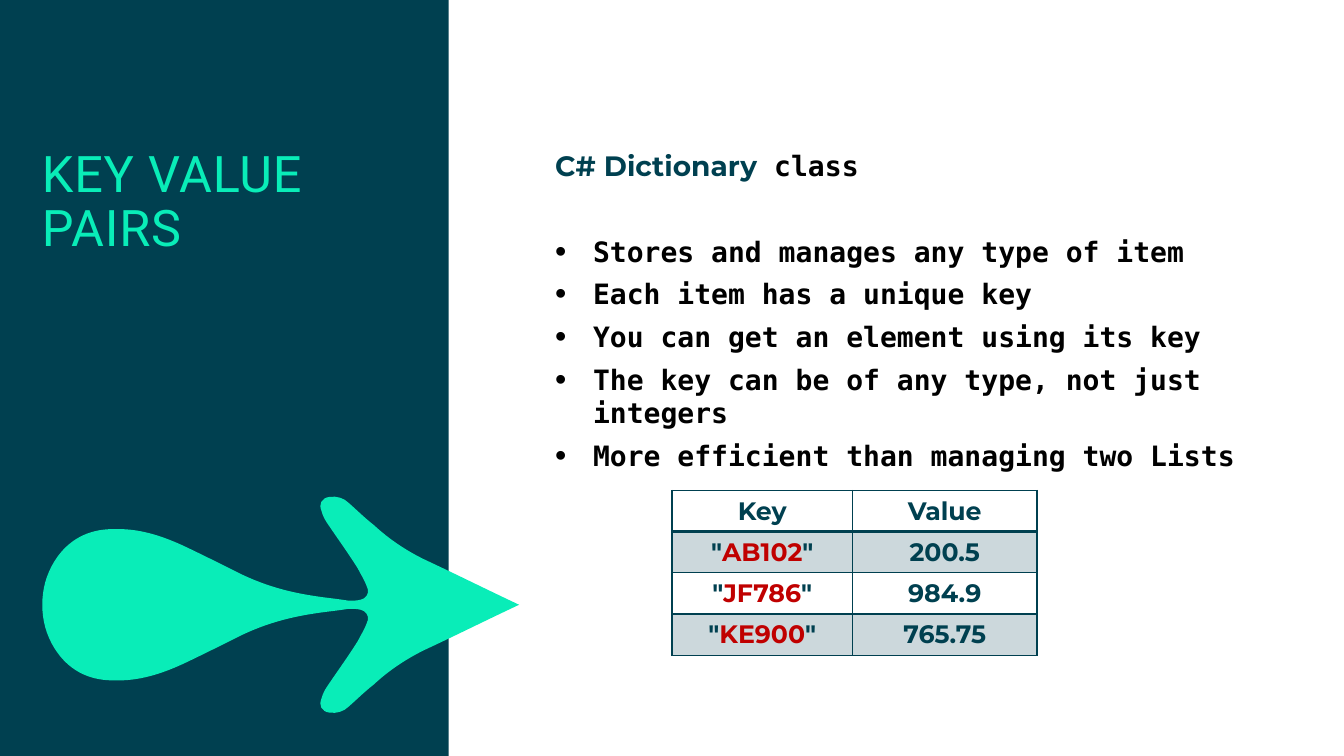
import lxml.etree
import pptx
import pptx.dml.color
import pptx.enum.shapes
import pptx.enum.text
import pptx.oxml.ns
import pptx.util

COLORS = {"panel": "004050", "accent": "09EDB8", "code": "000000", "key": "C00000"}
MONO, SANS, TITLE = "DejaVu Sans Mono", "Montserrat", "Roboto"
BULLETS = [
    "Stores and manages any type of item",
    "Each item has a unique key",
    "You can get an element using its key",
    "The key can be of any type, not just integers",
    "More efficient than managing two Lists",
]
ENTRIES = [("AB102", "200.5"), ("JF786", "984.9"), ("KE900", "765.75")]

presentation = pptx.Presentation()
presentation.slide_width = pptx.util.Inches(13.333)
presentation.slide_height = pptx.util.Inches(7.5)
slide = presentation.slides.add_slide(presentation.slide_layouts[6])
shapes = slide.shapes
# The slide is a grid of 32 columns by 18 rows of square units.
unit = presentation.slide_height / 18


def style_font(font, name, size, color, bold=False):
    font.name, font.size, font.bold = name, pptx.util.Pt(size), bold
    font.color.rgb = pptx.dml.color.RGBColor.from_string(COLORS[color])


def add_text_frame(*box):
    """Add a wrapping text box without margins; box is in grid units."""
    frame = shapes.add_textbox(*(round(length * unit) for length in box)).text_frame
    frame.word_wrap = True
    frame.margin_left = frame.margin_top = frame.margin_right = frame.margin_bottom = 0
    return frame


# Side panel
panel = shapes.add_shape(
    pptx.enum.shapes.MSO_SHAPE.RECTANGLE, 0, 0,
    round(10.68 * unit), presentation.slide_height)

# Fish arrow: upper curves as (x, height above the axis) in inches, mirrored below
nose, axis = (0.42, 0), 6
upper_curves = [
    [(0.42, 0.16), (0.46, 0.3), (0.54, 0.43)],
    [(0.67, 0.64), (0.87, 0.75), (1.12, 0.75)],
    [(1.37, 0.76), (1.59, 0.69), (1.81, 0.59)],
    [(2, 0.5), (2.18, 0.41), (2.36, 0.32)],
    [(2.6, 0.2), (2.84, 0.13), (3.1, 0.09)],
    [(3.22, 0.07), (3.34, 0.06), (3.46, 0.04)],
    [(3.5, 0.04), (3.54, 0.04), (3.58, 0.05)],
    [(3.63, 0.06), (3.66, 0.11), (3.65, 0.15)],
    [(3.65, 0.16), (3.65, 0.17), (3.64, 0.18)],
    [(3.62, 0.24), (3.58, 0.3), (3.55, 0.36)],
    [(3.45, 0.52), (3.34, 0.67), (3.24, 0.82)],
    [(3.22, 0.85), (3.2, 0.89), (3.19, 0.93)],
    [(3.16, 1), (3.19, 1.06), (3.27, 1.07)],
    [(3.34, 1.08), (3.41, 1.06), (3.46, 1.01)],
    [(3.54, 0.94), (3.62, 0.86), (3.71, 0.79)],
    [(3.86, 0.65), (4.04, 0.53), (4.23, 0.44)],
    [(4.53, 0.3), (4.83, 0.15), (5.15, 0)],
]
upper = [nose] + [point for curve in upper_curves for point in curve]
outline = [(x, axis - y) for x, y in upper] + [(x, axis + y) for x, y in upper[-2::-1]]
points = [(pptx.util.Inches(x), pptx.util.Inches(y)) for x, y in outline]
builder = shapes.build_freeform(*points[0])
builder.add_line_segments(points[3::3], close=True)
arrow = builder.convert_to_shape()
# Turn each straight segment into a curve by giving it its two control points.
segments = list(arrow._element.iter(pptx.oxml.ns.qn("a:lnTo")))
for index, segment in enumerate(segments):
    curve = lxml.etree.Element(pptx.oxml.ns.qn("a:cubicBezTo"))
    for x, y in points[3 * index + 1:3 * index + 4]:
        lxml.etree.SubElement(curve, pptx.oxml.ns.qn("a:pt"),
                              x=str(x - arrow.left), y=str(y - arrow.top))
    segment.getparent().replace(segment, curve)

for shape, color in ((panel, "panel"), (arrow, "accent")):
    shape.shadow.inherit = False
    shape.fill.solid()
    shape.fill.fore_color.rgb = pptx.dml.color.RGBColor.from_string(COLORS[color])
    shape.line.fill.background()

# Heading and bullets
body = add_text_frame(13.22, 3.54, 17.76, 13.44)
heading = body.paragraphs[0]
heading.space_after = pptx.util.Pt(37)
for text, name, color in (("C# Dictionary", SANS, "panel"), (" class", MONO, "code")):
    run = heading.add_run()
    run.text = text
    style_font(run.font, name, 20, color, True)
for text in BULLETS:
    paragraph = body.add_paragraph()
    paragraph.text = text
    paragraph.space_after = pptx.util.Pt(6.5)
    style_font(paragraph.font, MONO, 20, "code", True)
    properties = paragraph.font._element.getparent()
    indent = round(0.9 * unit)
    properties.set("marL", str(indent))
    properties.set("indent", str(-indent))
    bullet_parts = (("buSzPct", "val", "115000"), ("buFont", "typeface", "Arial"),
                    ("buChar", "char", "•"))
    for tag, attribute, value in bullet_parts:
        bullet = lxml.etree.Element(pptx.oxml.ns.qn(f"a:{tag}"), {attribute: value})
        properties.find(pptx.oxml.ns.qn("a:defRPr")).addprevious(bullet)

# Title
title = add_text_frame(1, 3.54, 9.05, 7.22).paragraphs[0]
title.line_spacing = 0.9
title_run = title.add_run()
title_run.text = "KEY VALUE PAIRS"
style_font(title.font, TITLE, 36, "accent")
title_run.font._element.set("spc", "60")

# Key and value table
column_widths, row_height = (4.3, 4.39), 0.98
rows = [("Key", "Value"), *ENTRIES]
table = shapes.add_table(
    len(rows), 2, round(16 * unit), round(11.68 * unit),
    round(sum(column_widths) * unit), round(len(rows) * row_height * unit)).table
for column, width in zip(table.columns, column_widths):
    column.width = round(width * unit)
for row_index, values in enumerate(rows):
    table.rows[row_index].height = round(row_height * unit)
    for column_index, value in enumerate(values):
        cell = table.cell(row_index, column_index)
        cell.vertical_anchor = pptx.enum.text.MSO_ANCHOR.MIDDLE
        paragraph = cell.text_frame.paragraphs[0]
        paragraph.alignment = pptx.enum.text.PP_ALIGN.CENTER
        style_font(paragraph.font, SANS, 18, "panel", True)
        is_key = row_index > 0 and column_index == 0
        for text in ('"', value, '"') if is_key else (value,):
            run = paragraph.add_run()
            run.text = text
            if is_key and text == value:
                run.font.color.rgb = pptx.dml.color.RGBColor.from_string(COLORS["key"])

        cell_properties = cell._tc.get_or_add_tcPr()
        if row_index % 2:
            cell.fill.solid()
            cell.fill.fore_color.rgb = pptx.dml.color.RGBColor.from_string(COLORS["panel"])
            tint = cell_properties.find(".//" + pptx.oxml.ns.qn("a:srgbClr"))
            lxml.etree.SubElement(tint, pptx.oxml.ns.qn("a:alpha"), val="20000")
        else:
            cell.fill.background()
        for position, side in enumerate("LRTB"):
            under_header = (row_index, side) in ((0, "B"), (1, "T"))
            width = pptx.util.Pt(2 if under_header else 1)
            border = lxml.etree.Element(pptx.oxml.ns.qn(f"a:ln{side}"), w=str(width))
            fill = lxml.etree.SubElement(border, pptx.oxml.ns.qn("a:solidFill"))
            lxml.etree.SubElement(fill, pptx.oxml.ns.qn("a:srgbClr"), val=COLORS["panel"])
            cell_properties.insert(position, border)

presentation.save("out.pptx")
